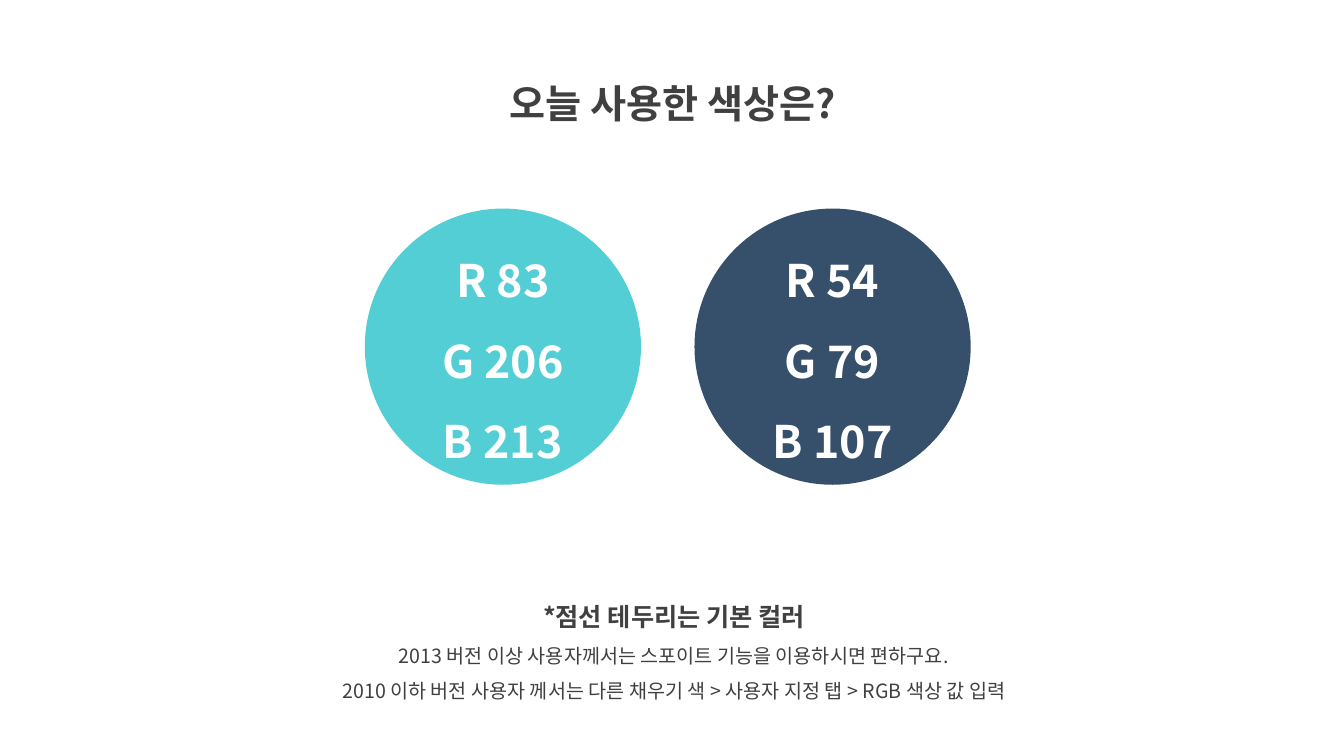
from lxml.etree import SubElement
from pptx import Presentation
from pptx.dml.color import RGBColor
from pptx.enum.shapes import MSO_SHAPE
from pptx.enum.text import MSO_ANCHOR, MSO_AUTO_SIZE, PP_ALIGN
from pptx.oxml.ns import qn
from pptx.util import Pt

FONT = "Noto Sans CJK KR"
GRAY = "404040"
WHITE = "FFFFFF"
DIAMETER = 197.3
CIRCLE_TOP = 149
CIRCLE_LEFT = 260.6
CIRCLE_STEP = 235.5
COLORS = [(83, 206, 213), (54, 79, 107)]


def rgb(value):
    """Return the colour for a hex string."""
    return RGBColor.from_string(value)


def add_text(p, text, size=14, color=GRAY, bold=False):
    """Write one centred, formatted run into a paragraph."""
    p.alignment = PP_ALIGN.CENTER
    p.line_spacing = 1.5
    r = p.add_run()
    r.text = text
    r.font.name = FONT
    r.font.size = Pt(size)
    r.font.bold = bold
    r.font.color.rgb = rgb(color)
    SubElement(r.font._element, qn("a:ea"), typeface=FONT)


def add_lines(tf, lines, **fmt):
    """Write each line as a paragraph of the text frame."""
    for i, line in enumerate(lines):
        p = tf.add_paragraph() if i else tf.paragraphs[0]
        add_text(p, line, **fmt)


def add_title(slide, text):
    """Place and fill the title placeholder."""
    sp = slide.shapes.title
    sp.left, sp.top, sp.width, sp.height = Pt(314), Pt(36), Pt(333.4), Pt(51.8)
    tf = sp.text_frame
    tf.vertical_anchor = MSO_ANCHOR.TOP
    tf.auto_size = MSO_AUTO_SIZE.SHAPE_TO_FIT_TEXT
    add_lines(tf, [text], size=28, bold=True)


def add_notice(slide, heading, lines):
    """Add a bold heading with explanatory lines below it."""
    sp = slide.shapes.add_textbox(Pt(193.7), Pt(415.4), Pt(575.3), Pt(90.7))
    tf = sp.text_frame
    tf.word_wrap = True
    tf.auto_size = MSO_AUTO_SIZE.SHAPE_TO_FIT_TEXT
    add_lines(tf, [heading], size=18, bold=True)
    for line in lines:
        add_text(tf.add_paragraph(), line)


def add_swatch(slide, left, channels):
    """Add a circle filled with a colour and labelled with its RGB values."""
    sp = slide.shapes.add_shape(
        MSO_SHAPE.OVAL, Pt(left), Pt(CIRCLE_TOP), Pt(DIAMETER), Pt(DIAMETER)
    )
    sp.shadow.inherit = False
    sp.fill.solid()
    sp.fill.fore_color.rgb = rgb("".join(f"{value:02X}" for value in channels))
    sp.line.fill.background()
    tf = sp.text_frame
    tf.word_wrap = True
    tf.vertical_anchor = MSO_ANCHOR.MIDDLE
    labels = [f"{name} {value}" for name, value in zip("RGB", channels)]
    add_lines(tf, labels, size=32, color=WHITE, bold=True)


def main():
    """Build the colour guide slide."""
    prs = Presentation()
    prs.slide_width, prs.slide_height = Pt(960), Pt(540)
    slide = prs.slides.add_slide(prs.slide_layouts[5])
    add_title(slide, "오늘 사용한 색상은?")
    add_notice(
        slide,
        "*점선 테두리는 기본 컬러",
        [
            "2013 버전 이상 사용자께서는 스포이트 기능을 이용하시면 편하구요.",
            "2010 이하 버전 사용자 께서는 다른 채우기 색 > 사용자 지정 탭 > RGB 색상 값 입력",
        ],
    )
    for i, channels in enumerate(COLORS):
        add_swatch(slide, CIRCLE_LEFT + i * CIRCLE_STEP, channels)
    prs.save("out.pptx")


if __name__ == "__main__":
    main()
